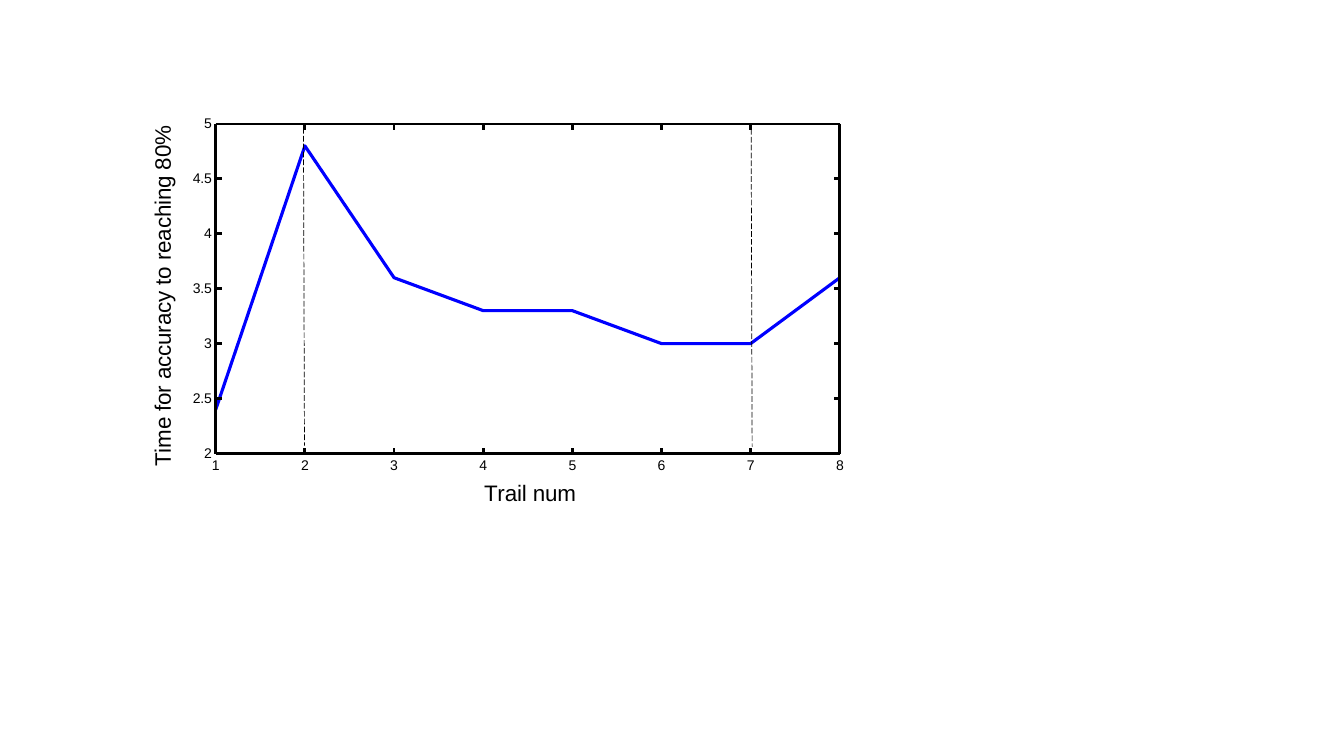
"""Build a slide with a line chart of time to reach 80% accuracy per trial."""
from dataclasses import dataclass

import lxml.etree
import pptx
import pptx.chart.axis
import pptx.chart.data
import pptx.dml.color
import pptx.dml.line
import pptx.enum.chart
import pptx.enum.dml
import pptx.enum.shapes
import pptx.oxml.ns
import pptx.slide
import pptx.util

Inches, Pt, qn = pptx.util.Inches, pptx.util.Pt, pptx.oxml.ns.qn

FONT, BLACK, BLUE = "Arial", "000000", "0000FF"
HAIRLINE, DASH_WIDTH = 0, 0.5
TICK = 0.06
TIMES = (2.4, 4.8, 3.6, 3.3, 3.3, 3, 3, 3.6)


@dataclass(frozen=True)
class Box:
    left: float
    top: float
    width: float
    height: float

    @property
    def right(self) -> float:
        return self.left + self.width

    @property
    def bottom(self) -> float:
        return self.top + self.height


@dataclass(frozen=True)
class Segment:
    x1: float
    y1: float
    x2: float
    y2: float
    dashed: bool = False


@dataclass(frozen=True)
class AxisSpec:
    title: str
    low: float
    high: float
    step: float
    title_left: float
    title_top: float
    rotation: int

    @property
    def count(self) -> int:
        return round((self.high - self.low) / self.step)


FRAME = Box(1.2, 0.4, 7.4, 5.2)
PLOT = Box(2.14, 1.23, 6.19, 3.27)
TRIAL = AxisSpec("Trail num", 1, 8, 1, 4.76, 4.71, 0)
TIME = AxisSpec("Time for accuracy to reaching 80%", 2, 5, 0.5, 1.43, 1.21, -90)


def rgb(value: str) -> pptx.dml.color.RGBColor:
    return pptx.dml.color.RGBColor.from_string(value)


def style_line(line: pptx.dml.line.LineFormat, color: str, width: float) -> None:
    line.color.rgb = rgb(color)
    line.width = Pt(width)


def place(parent, index: int, left: float, top: float, size: Box | None = None) -> None:
    for old in parent.findall(qn("c:layout")):
        parent.remove(old)
    layout = lxml.etree.Element(qn("c:layout"))
    manual = lxml.etree.SubElement(layout, qn("c:manualLayout"))
    settings = [("layoutTarget", "inner")] if size else []
    settings += [("xMode", "edge"), ("yMode", "edge"),
                 ("x", (left - FRAME.left) / FRAME.width),
                 ("y", (top - FRAME.top) / FRAME.height)]
    if size:
        settings += [("w", size.width / FRAME.width), ("h", size.height / FRAME.height)]
    for tag, value in settings:
        lxml.etree.SubElement(manual, qn(f"c:{tag}")).set("val", str(value))
    parent.insert(index, layout)


def style_axis(axis: pptx.chart.axis.ValueAxis, spec: AxisSpec) -> None:
    axis.minimum_scale, axis.maximum_scale = spec.low, spec.high
    axis.major_unit = spec.step
    axis.has_major_gridlines = False
    axis.major_tick_mark = pptx.enum.chart.XL_TICK_MARK.NONE
    axis.minor_tick_mark = pptx.enum.chart.XL_TICK_MARK.NONE
    axis.crosses = pptx.enum.chart.XL_AXIS_CROSSES.MINIMUM
    axis.tick_labels.number_format = "General"
    axis.tick_labels.number_format_is_linked = False
    axis.format.line.fill.background()
    tf = axis.axis_title.text_frame
    p = tf.paragraphs[0]
    p.text = spec.title
    font = p.runs[0].font
    font.name, font.size, font.bold = FONT, Pt(16), False
    font.color.rgb = rgb(BLACK)
    tf._txBody.bodyPr.set("rot", str(spec.rotation * 60000))
    place(axis.axis_title._element, 1, spec.title_left, spec.title_top)


def add_time_chart(s: pptx.slide.Slide) -> None:
    data = pptx.chart.data.XyChartData()
    series = data.add_series(TIME.title)
    for trial, time in enumerate(TIMES, start=1):
        series.add_data_point(trial, time)
    chart = s.shapes.add_chart(
        pptx.enum.chart.XL_CHART_TYPE.XY_SCATTER_LINES_NO_MARKERS,
        Inches(FRAME.left), Inches(FRAME.top), Inches(FRAME.width), Inches(FRAME.height),
        data).chart
    chart.has_legend = False
    chart.has_title = False
    chart.font.name, chart.font.size = FONT, Pt(10)
    chart.font.color.rgb = rgb(BLACK)
    chart.plots[0].vary_by_categories = False
    line = chart.plots[0].series[0]
    line.smooth = False
    line.marker.style = pptx.enum.chart.XL_MARKER_STYLE.NONE
    style_line(line.format.line, BLUE, HAIRLINE)
    style_axis(chart.category_axis, TRIAL)
    style_axis(chart.value_axis, TIME)
    area = chart._chartSpace.find(f"{qn('c:chart')}/{qn('c:plotArea')}")
    place(area, 0, PLOT.left, PLOT.top, PLOT)


def add_segment(s: pptx.slide.Slide, seg: Segment) -> None:
    cxn = s.shapes.add_connector(
        pptx.enum.shapes.MSO_CONNECTOR.STRAIGHT,
        Inches(seg.x1), Inches(seg.y1), Inches(seg.x2), Inches(seg.y2))
    style_line(cxn.line, BLACK, DASH_WIDTH if seg.dashed else HAIRLINE)
    if seg.dashed:
        cxn.line.dash_style = pptx.enum.dml.MSO_LINE.LONG_DASH
    lxml.etree.SubElement(cxn._element.spPr, qn("a:effectLst"))


def ticks_and_border() -> list[Segment]:
    xs = [PLOT.left + i * PLOT.width / TRIAL.count for i in range(TRIAL.count + 1)]
    ys = [PLOT.top + i * PLOT.height / TIME.count for i in range(TIME.count + 1)]
    segments = []
    for edge, inward in ((PLOT.top, TICK), (PLOT.bottom, -TICK)):
        segments += [Segment(x, edge, x, edge + inward) for x in xs]
        segments.append(Segment(PLOT.left, edge, PLOT.right, edge))
    for edge, inward in ((PLOT.left, TICK), (PLOT.right, -TICK)):
        segments += [Segment(edge, y, edge + inward, y) for y in ys]
        segments.append(Segment(edge, PLOT.top, edge, PLOT.bottom))
    return segments


def main() -> None:
    prs = pptx.Presentation()
    prs.slide_width, prs.slide_height = Inches(13.33), Inches(7.5)
    s = prs.slides.add_slide(prs.slide_layouts[6])
    add_time_chart(s)
    markers = [Segment(3.01, 1.27, 3.02, 4.42, True), Segment(7.45, 1.28, 7.46, 4.43, True)]
    for seg in ticks_and_border() + markers:
        add_segment(s, seg)
    prs.save("out.pptx")


if __name__ == "__main__":
    main()
